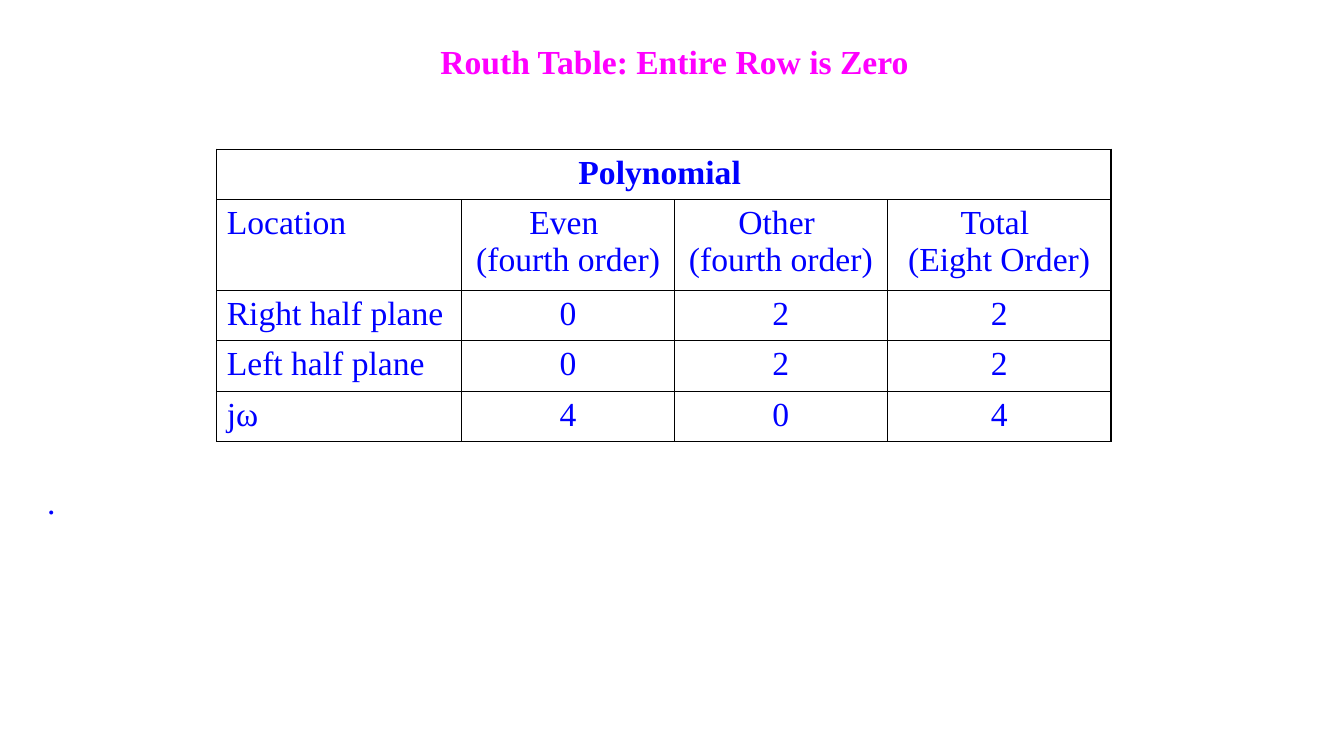
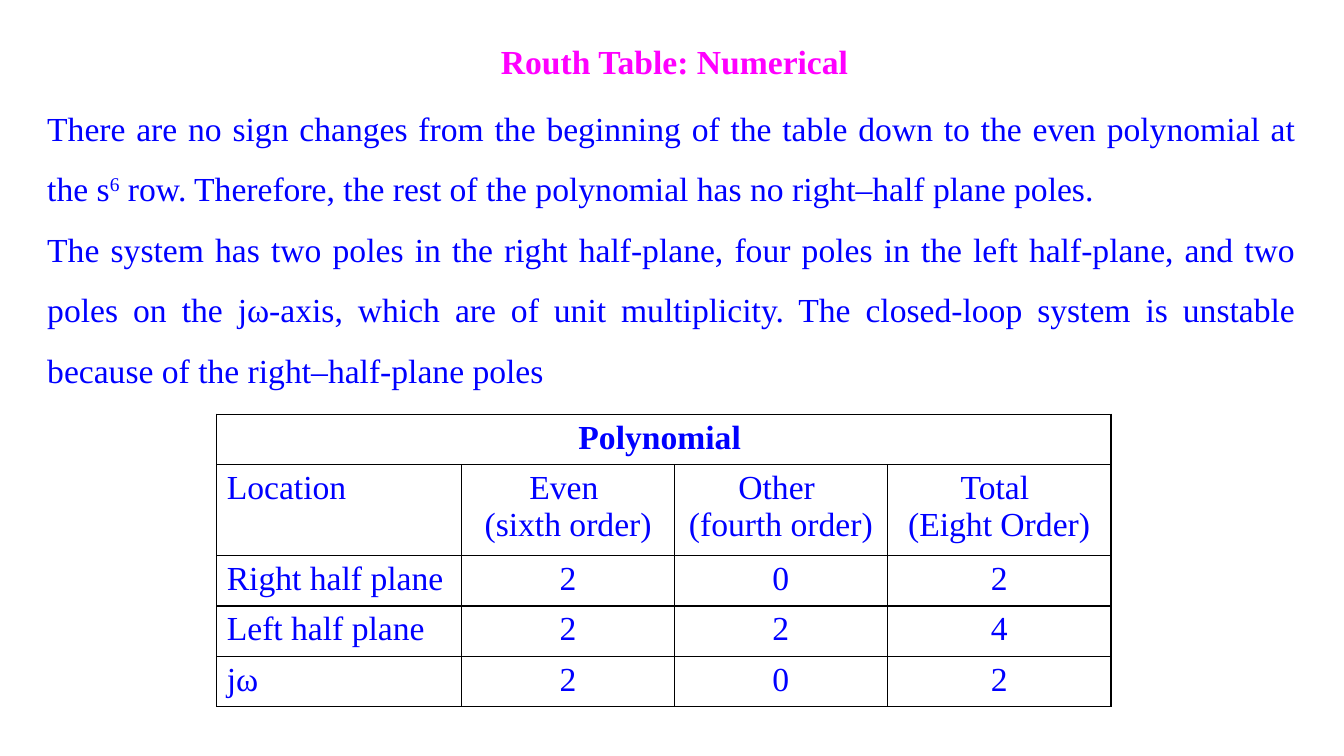
"""Build two slides that summarise pole locations from Routh tables."""
from dataclasses import dataclass

from lxml import etree
from pptx import Presentation
from pptx.dml.color import RGBColor
from pptx.enum.text import MSO_ANCHOR, MSO_AUTO_SIZE, PP_ALIGN
from pptx.oxml.ns import qn
from pptx.util import Inches, Pt

LEFT, CENTER, JUSTIFY = PP_ALIGN.LEFT, PP_ALIGN.CENTER, PP_ALIGN.JUSTIFY
TOP = MSO_ANCHOR.TOP
NO_AUTOFIT = MSO_AUTO_SIZE.NONE
TITLE_ONLY = 5

COLORS = {"title": "FF00FF", "text": "0000FF", "border": "000000"}
FONT = "Times New Roman"
SIZE = Pt(24)
BORDER_WIDTH = Pt(1)
BORDER_SIDES = ("a:lnL", "a:lnR", "a:lnT", "a:lnB")

TABLE_LEFT = 2.15
COLUMN_WIDTHS = (2.43, 2.11, 2.11, 2.22)
ROW_HEIGHTS = (0.5, 0.9, 0.5, 0.5, 0.5)
LOCATIONS = ("Right half plane", "Left half plane", "jω")


@dataclass(frozen=True)
class Span:
    text: str
    superscript: bool = False


@dataclass(frozen=True)
class RouthSlide:
    title: str
    body_top: float
    body_height: float
    paragraphs: tuple[tuple[Span, ...], ...]
    table_top: float
    even_order: str
    counts: tuple[tuple[int, int, int], ...]


SLIDES = (
    RouthSlide(
        title="Routh Table: Entire Row is Zero",
        body_top=4.52,
        body_height=0.65,
        paragraphs=((Span("."),),),
        table_top=1.48,
        even_order="(fourth order)",
        counts=((0, 2, 2), (0, 2, 2), (4, 0, 4)),
    ),
    RouthSlide(
        title="Routh Table: Numerical",
        body_top=0.82,
        body_height=3.06,
        paragraphs=(
            (
                Span("There are no sign changes from the beginning of the table "
                     "down to the even polynomial at the s"),
                Span("6", superscript=True),
                Span(" row. Therefore, the rest of the polynomial has no "
                     "right–half plane poles."),
            ),
            (
                Span("The system has two poles in the right half-plane, four poles "
                     "in the left half-plane, and two poles on the jω-axis, which "
                     "are of unit multiplicity. The closed-loop system is unstable "
                     "because of the right–half-plane poles"),
            ),
        ),
        table_top=4.11,
        even_order="(sixth order)",
        counts=((2, 0, 2), (2, 2, 4), (2, 0, 2)),
    ),
)


def add_span(paragraph, span: Span, color: str = "text", bold: bool = False) -> None:
    run = paragraph.add_run()
    run.text = span.text
    run.font.name = FONT
    run.font.size = SIZE
    run.font.bold = bold
    run.font.color.rgb = RGBColor.from_string(COLORS[color])
    if span.superscript:
        run.font._element.set("baseline", "30000")


def fill_frame(frame, paragraphs, align, color: str = "text",
               bold: bool = False, spacing: float = 1.0) -> None:
    for index, spans in enumerate(paragraphs):
        paragraph = frame.add_paragraph() if index else frame.paragraphs[0]
        paragraph.alignment = align
        paragraph.line_spacing = spacing
        for span in spans:
            add_span(paragraph, span, color, bold)


def add_title(slide, text: str) -> None:
    title = slide.shapes.title
    title.left, title.top = Inches(0.6), Inches(0.36)
    title.width, title.height = Inches(12.18), Inches(0.5)
    frame = title.text_frame
    frame.auto_size = NO_AUTOFIT
    frame.vertical_anchor = TOP
    fill_frame(frame, ((Span(text),),), CENTER, "title", bold=True)


def add_body(slide, content: RouthSlide) -> None:
    body = slide.shapes.add_textbox(
        Inches(0.37), Inches(content.body_top),
        Inches(12.58), Inches(content.body_height))
    body.text_frame.word_wrap = True
    fill_frame(body.text_frame, content.paragraphs, JUSTIFY, spacing=1.5)


def style_cell(cell) -> None:
    cell.fill.background()
    properties = cell._tc.get_or_add_tcPr()
    for position, side in enumerate(BORDER_SIDES):
        line = etree.Element(qn(side), w=str(BORDER_WIDTH))
        fill = etree.SubElement(line, qn("a:solidFill"))
        etree.SubElement(fill, qn("a:srgbClr"), val=COLORS["border"])
        properties.insert(position, line)


def add_pole_table(slide, content: RouthSlide) -> None:
    header = (("Location",), ("Even ", content.even_order),
              ("Other ", "(fourth order)"), ("Total ", "(Eight Order)"))
    pole_rows = tuple(
        ((location,), *((str(count),) for count in counts))
        for location, counts in zip(LOCATIONS, content.counts))
    rows = ((("Polynomial ",),), header, *pole_rows)

    table = slide.shapes.add_table(
        len(ROW_HEIGHTS), len(COLUMN_WIDTHS),
        Inches(TABLE_LEFT), Inches(content.table_top),
        Inches(sum(COLUMN_WIDTHS)), Inches(sum(ROW_HEIGHTS))).table
    table.first_row = False
    table.horz_banding = False
    for column, width in zip(table.columns, COLUMN_WIDTHS):
        column.width = Inches(width)
    for row, height in zip(table.rows, ROW_HEIGHTS):
        row.height = Inches(height)
    for cell in table.iter_cells():
        style_cell(cell)
    table.cell(0, 0).merge(table.cell(0, len(COLUMN_WIDTHS) - 1))

    for row_index, row in enumerate(rows):
        heading = row_index == 0
        for column_index, lines in enumerate(row):
            align = CENTER if heading or column_index else LEFT
            fill_frame(table.cell(row_index, column_index).text_frame,
                       [(Span(line),) for line in lines], align, bold=heading)


def main() -> None:
    presentation = Presentation()
    presentation.slide_width = Inches(13.33)
    presentation.slide_height = Inches(7.5)
    for content in SLIDES:
        slide = presentation.slides.add_slide(presentation.slide_layouts[TITLE_ONLY])
        add_title(slide, content.title)
        add_body(slide, content)
        add_pole_table(slide, content)
    presentation.save("out.pptx")


if __name__ == "__main__":
    main()
